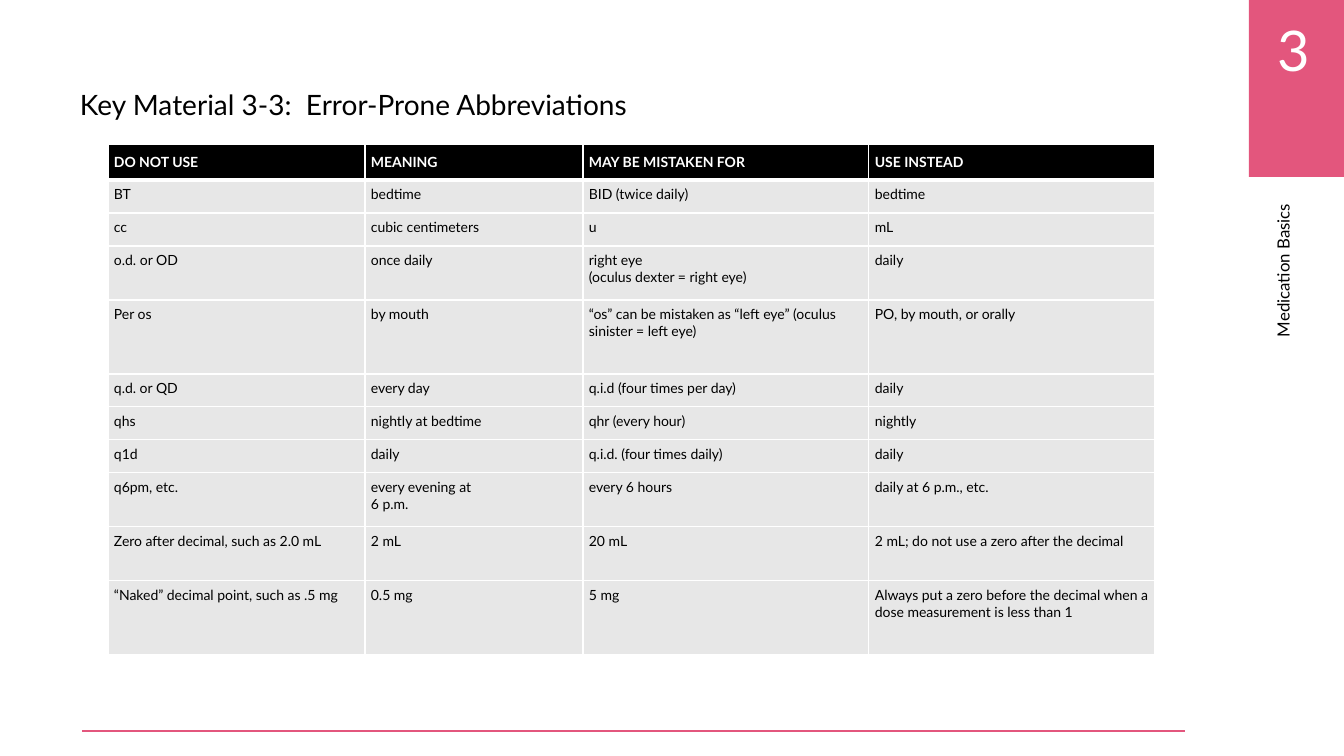
from dataclasses import dataclass

from lxml.etree import SubElement
from pptx import Presentation
from pptx.dml.color import RGBColor
from pptx.enum.shapes import MSO_CONNECTOR, MSO_SHAPE
from pptx.enum.text import PP_ALIGN
from pptx.oxml.ns import qn
from pptx.util import Pt

SCALE = 12192000 / 1344


@dataclass(frozen=True)
class Theme:
    font: str = "Lato"
    pink: str = "E3567D"
    black: str = "000000"
    white: str = "FFFFFF"
    grey: str = "E7E7E7"
    number: int = 40
    title: int = 20
    label: int = 12
    cell: int = 10


THEME = Theme()
HEADS = ["DO NOT USE", "MEANING", "MAY BE MISTAKEN FOR", "USE INSTEAD"]
COLS = [257, 218, 286, 286]
HEAD, SHORT, MEDIUM, TALL = 36, 33, 54, 74
ROWS = [
    (SHORT, "BT", "bedtime", "BID (twice daily)", "bedtime"),
    (SHORT, "cc", "cubic centimeters", "u", "mL"),
    (MEDIUM, "o.d. or OD", "once daily",
     "right eye\v(oculus dexter = right eye)", "daily"),
    (TALL, "Per os", "by mouth",
     "“os” can be mistaken as “left eye” (oculus sinister = left eye)",
     "PO, by mouth, or orally"),
    (SHORT, "q.d. or QD", "every day", "q.i.d (four times per day)", "daily"),
    (SHORT, "qhs", "nightly at bedtime", "qhr (every hour)", "nightly"),
    (SHORT, "q1d", "daily", "q.i.d. (four times daily)", "daily"),
    (MEDIUM, "q6pm, etc.", "every evening at\v6 p.m.", "every 6 hours",
     "daily at 6 p.m., etc."),
    (MEDIUM, "Zero after decimal, such as 2.0 mL", "2 mL", "20 mL",
     "2 mL; do not use a zero after the decimal"),
    (TALL, "“Naked” decimal point, such as .5 mg", "0.5 mg", "5 mg",
     "Always put a zero before the decimal when a dose measurement "
     "is less than 1"),
]


def px(*sizes):
    """Turn whole pixels into a list of EMU lengths."""
    return [round(size * SCALE) for size in sizes]


def paint(fill, color):
    fill.solid()
    fill.fore_color.rgb = RGBColor.from_string(color)


def write(frame, text, size, color, bold=False):
    """Fill a text frame with one styled paragraph and return it."""
    frame.text = text
    frame.word_wrap = True
    para = frame.paragraphs[0]
    for run in para.runs:
        run.font.name = THEME.font
        run.font.size = Pt(size)
        run.font.bold = bold
        run.font.color.rgb = RGBColor.from_string(color)
    return para


def add_text(slide, box, text, size, color):
    shape = slide.shapes.add_textbox(*px(*box))
    return shape, write(shape.text_frame, text, size, color)


def add_tab(slide, x, y, w, h):
    """Draw the chapter tab with its number and the sideways label below."""
    tab = slide.shapes.add_shape(MSO_SHAPE.RECTANGLE, *px(x, y, w, h))
    tab.shadow.inherit = False
    paint(tab.fill, THEME.pink)
    tab.line.fill.background()
    left = x + 19
    add_text(slide, (left, y + 11, w - 19, 77), "3", THEME.number, THEME.white)
    label, para = add_text(slide, (left, y + h + 17, 40, 366),
                           "Medication Basics", THEME.label, THEME.black)
    para.alignment = PP_ALIGN.RIGHT
    label.element.find(".//" + qn("a:bodyPr")).set("vert", "vert270")


def add_title(slide, x, y, w, h):
    _, para = add_text(slide, (x, y, w, h),
                       "Key Material 3-3:  Error-Prone Abbreviations",
                       THEME.title, THEME.black)
    para.line_spacing = 0.9
    para.space_after = Pt(6)


def add_rule(slide, x, y, w):
    rule = slide.shapes.add_connector(MSO_CONNECTOR.STRAIGHT,
                                      *px(x + w, y, x, y))
    rule.line.width = Pt(1)
    paint(rule.line.fill, THEME.pink)
    SubElement(rule.element.spPr, qn("a:effectLst"))


def edge(cell, side, width):
    props = cell._tc.get_or_add_tcPr()
    line = SubElement(props, qn("a:ln" + side), w=str(Pt(width)))
    fill = SubElement(line, qn("a:solidFill"))
    SubElement(fill, qn("a:srgbClr"), val=THEME.white)


def style_cell(cell, text, row):
    """Write one cell; row 0 is the header, set off by a thick line."""
    head = row == 0
    cell.margin_left = cell.margin_right = px(6)[0]
    cell.margin_top = cell.margin_bottom = px(6)[0]
    para = write(cell.text_frame, text, THEME.cell,
                 THEME.white if head else THEME.black, head)
    para.line_spacing = Pt(15 if head else 12)
    edge(cell, "L", 1)
    edge(cell, "R", 1)
    edge(cell, "T", 3 if row == 1 else 1)
    edge(cell, "B", 3 if head else 1)
    paint(cell.fill, THEME.black if head else THEME.grey)


def add_grid(slide, x, y):
    rows = [(HEAD, *HEADS), *ROWS]
    size = px(x, y, sum(COLS), sum(row[0] for row in rows))
    table = slide.shapes.add_table(len(rows), len(COLS), *size).table
    table.horz_banding = False
    for col, width in zip(table.columns, px(*COLS)):
        col.width = width
    for r, (height, *texts) in enumerate(rows):
        table.rows[r].height = px(height)[0]
        for c, text in enumerate(texts):
            style_cell(table.cell(r, c), text, r)


def main():
    deck = Presentation()
    deck.slide_width, deck.slide_height = px(1344, 756)
    slide = deck.slides.add_slide(deck.slide_layouts[6])
    add_tab(slide, 1249, 0, 95, 177)
    add_rule(slide, 82, 731, 1103)
    add_title(slide, 70, 86, 1128, 50)
    add_grid(slide, 108, 144)
    deck.save("out.pptx")


if __name__ == "__main__":
    main()
